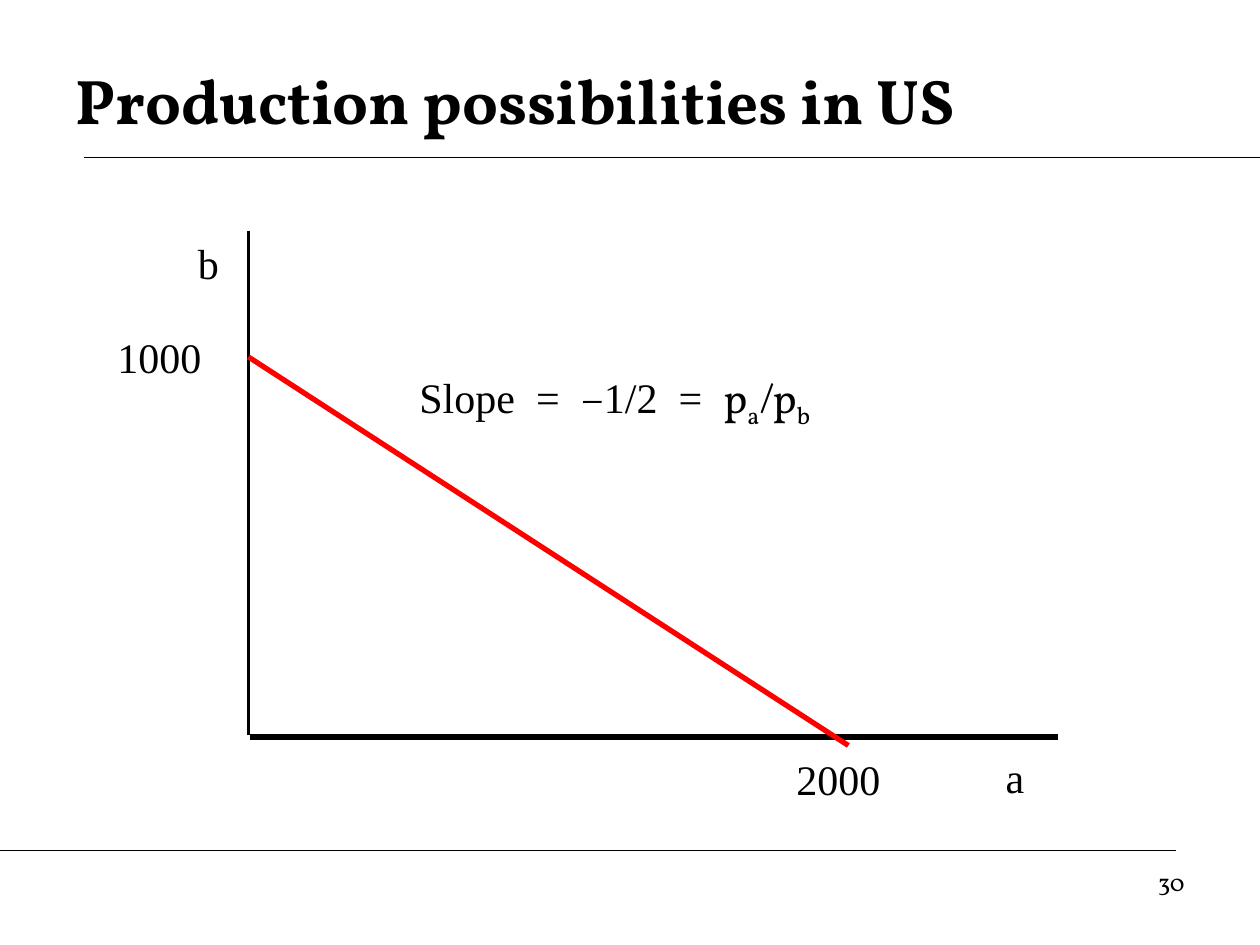
from lxml import etree
from pptx import Presentation
from pptx.dml.color import RGBColor
from pptx.enum.shapes import MSO_CONNECTOR
from pptx.enum.text import MSO_ANCHOR, PP_ALIGN
from pptx.oxml.ns import qn
from pptx.util import Pt

STRAIGHT = MSO_CONNECTOR.STRAIGHT
TOP, MIDDLE = MSO_ANCHOR.TOP, MSO_ANCHOR.MIDDLE
LEFT, RIGHT = PP_ALIGN.LEFT, PP_ALIGN.RIGHT
BLANK_LAYOUT = 6
BLACK, RED = "000000", "FF0000"
SERIF, DISPLAY = "Times New Roman", "Vollkorn"
LABEL = {"name": SERIF, "size": Pt(24)}
SYMBOL = {**LABEL, "name": DISPLAY}
TITLE = {"name": DISPLAY, "size": Pt(36), "bold": True}
PAGE_NUMBER = {"name": DISPLAY, "size": Pt(14)}


def color(value):
    """Turn a hex string into a colour."""
    return RGBColor.from_string(value)


def add_line(slide, start, end, width, line_color=BLACK):
    """Draw a straight line without a shadow."""
    points = [Pt(value) for value in (*start, *end)]
    connector = slide.shapes.add_connector(STRAIGHT, *points)
    connector.line.width = Pt(width)
    connector.line.color.rgb = color(line_color)
    etree.SubElement(connector._element.spPr, qn("a:effectLst"))


def add_run(paragraph, text, font_values, baseline=0):
    """Append a formatted run, lowered by a negative baseline percentage."""
    run = paragraph.add_run()
    run.text = text
    for name, value in font_values.items():
        setattr(run.font, name, value)
    run.font.color.rgb = color(BLACK)
    if baseline:
        run._r.get_or_add_rPr().set("baseline", str(baseline * 1000))


def add_text(slide, box, runs, alignment=LEFT, anchor=TOP):
    """Add a wrapped one-paragraph text box made of runs."""
    shape = slide.shapes.add_textbox(*[Pt(value) for value in box])
    frame = shape.text_frame
    frame.word_wrap = True
    frame.vertical_anchor = anchor
    paragraph = frame.paragraphs[0]
    paragraph.alignment = alignment
    for run in runs:
        add_run(paragraph, *run)


def add_frame(slide):
    """Add the title, the page number and their rules."""
    add_line(slide, (48, 90), (720, 90), 0.75)
    add_line(slide, (0, 486), (672, 486), 0.75)
    add_text(slide, (36, 24, 648, 66),
             [("Production possibilities in US", TITLE)], anchor=MIDDLE)
    add_text(slide, (516, 492, 168, 37), [("30", PAGE_NUMBER)], RIGHT)


def add_diagram(slide):
    """Draw the axes, the frontier and their labels."""
    add_line(slide, (142, 132), (142, 420), 2.25)
    add_line(slide, (142.8, 421.2), (604.8, 421.2), 3)
    add_line(slide, (142, 204), (484.8, 426), 3, RED)
    labels = [
        ("b", 106, 132, 30),
        ("a", 567.6, 426, 36),
        ("2000", 448, 427, 85),
        ("1000", 60, 186, 75.6),
    ]
    for text, left, top, width in labels:
        add_text(slide, (left, top, width, 36), [(text, LABEL)])
    slope = [
        ("Slope  =  ", LABEL),
        ("−", SYMBOL),
        ("1/2  =  ", LABEL),
        ("p", SYMBOL),
        ("a", SYMBOL, -25),
        ("/p", SYMBOL),
        ("b", SYMBOL, -25),
    ]
    add_text(slide, (232.6, 208.8, 252, 36.7), slope)


def main():
    """Build and save the slide."""
    presentation = Presentation()
    presentation.slide_width = Pt(720)
    presentation.slide_height = Pt(540)
    layout = presentation.slide_layouts[BLANK_LAYOUT]
    slide = presentation.slides.add_slide(layout)
    add_frame(slide)
    add_diagram(slide)
    presentation.save("out.pptx")


if __name__ == "__main__":
    main()
